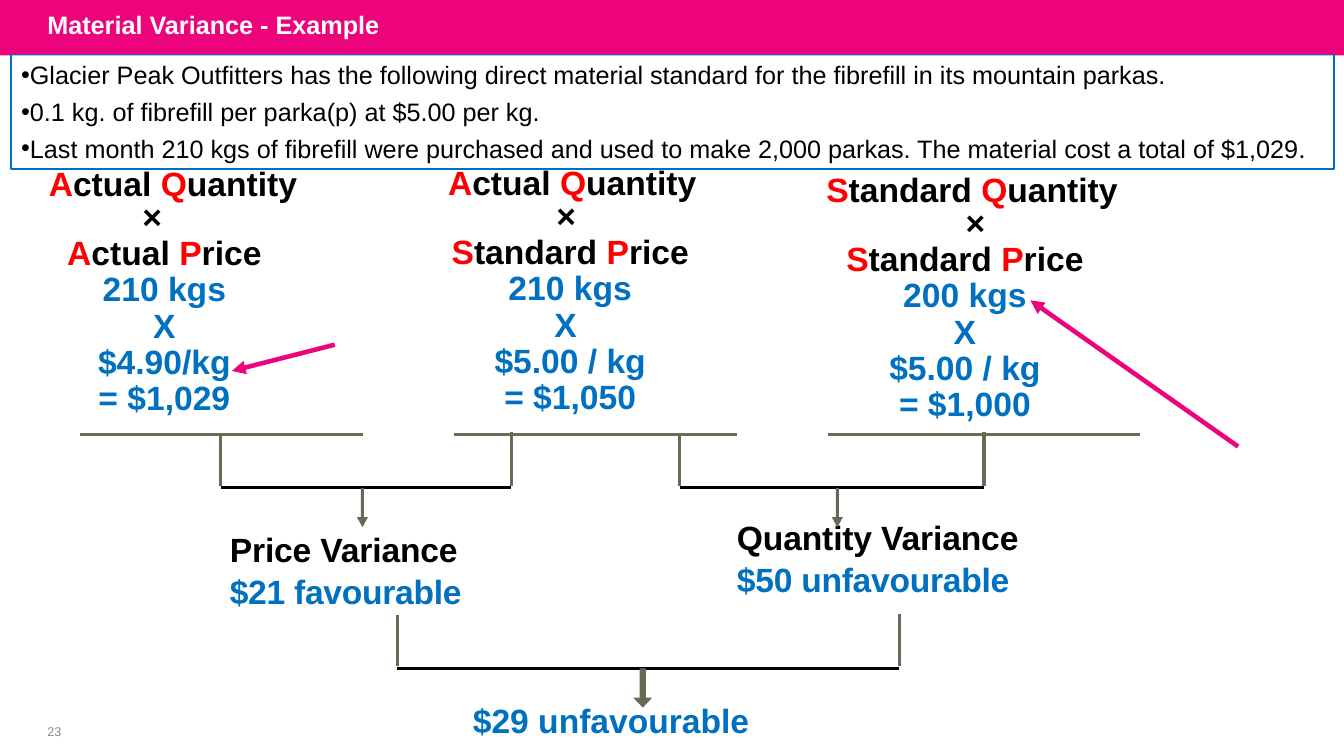
from pptx import Presentation
from pptx.dml.color import RGBColor
from pptx.enum.shapes import MSO_CONNECTOR, MSO_SHAPE
from pptx.enum.text import MSO_ANCHOR, MSO_AUTO_SIZE, PP_ALIGN
from pptx.oxml.ns import qn
from pptx.util import Pt
from lxml.etree import SubElement

PX = 9144  # 100 px to the inch
COLORS = {"pink": "ED037C", "blue": "0070C0", "red": "FF0000", "black": "000000",
          "white": "FFFFFF", "gray": "8C8C8C", "olive": "676A54"}
HEADING = {"name": "Arial", "size": Pt(24), "bold": True}
PLAIN = {"name": "Arial", "size": Pt(18), "bold": False}


def add_run(paragraph, text, color, font_format, spacing=0):
    run = paragraph.add_run()
    run.text = text
    for name, value in font_format.items():
        setattr(run.font, name, value)
    run.font.color.rgb = RGBColor.from_string(COLORS[color])
    if spacing:
        run._r.get_or_add_rPr().set("spc", str(spacing))


def add_line(x1, y1, x2, y2, color, width):
    line = slide.shapes.add_connector(
        MSO_CONNECTOR.STRAIGHT, x1 * PX, y1 * PX, x2 * PX, y2 * PX)
    line.line.color.rgb = RGBColor.from_string(COLORS[color])
    line.line.width = Pt(width)
    SubElement(line.element.spPr, qn("a:effectLst"))
    return line


presentation = Presentation()
presentation.slide_width, presentation.slide_height = 1333 * PX, 750 * PX
slide = presentation.slides.add_slide(presentation.slide_layouts[1])
title, body = slide.placeholders

# Banner, behind the title
banner = slide.shapes.add_shape(MSO_SHAPE.RECTANGLE, 0, 0, 1333 * PX, 55 * PX)
banner.shadow.inherit = False
banner.fill.solid()
banner.fill.fore_color.rgb = RGBColor.from_string(COLORS["pink"])
banner.line.fill.background()
title.element.addprevious(banner.element)

# Title and case facts
for shape, bounds, anchor in ((title, (37, -3, 1050, 55), MSO_ANCHOR.MIDDLE),
                              (body, (11, 54, 1312, 114), MSO_ANCHOR.TOP)):
    shape.left, shape.top, shape.width, shape.height = (length * PX for length in bounds)
    frame_format = {"auto_size": MSO_AUTO_SIZE.NONE, "word_wrap": True,
                    "vertical_anchor": anchor}
    for name, value in frame_format.items():
        setattr(shape.text_frame, name, value)
title_paragraph = title.text_frame.paragraphs[0]
title_paragraph.alignment = PP_ALIGN.LEFT
add_run(title_paragraph, "Material Variance - Example", "white", PLAIN | {"bold": True})

body.line.color.rgb = RGBColor.from_string(COLORS["blue"])
body.line.width = Pt(1.25)
facts = [
    "Glacier Peak Outfitters has the following direct material standard for the fibrefill in its mountain parkas.",
    "0.1 kg. of fibrefill per parka(p) at $5.00 per kg.",
    "Last month 210 kgs of fibrefill were purchased and used to make 2,000 parkas. The material cost a total of $1,029",
]
for index, fact in enumerate(facts):
    paragraph = body.text_frame.add_paragraph() if index else body.text_frame.paragraphs[0]
    paragraph.space_before = Pt(4.6 if index else 0)
    properties = paragraph._p.get_or_add_pPr()
    properties.set("marL", "0")
    properties.set("indent", "0")
    SubElement(properties, qn("a:buChar"), char="•")
    add_run(paragraph, fact, "black", PLAIN)
add_run(paragraph, ".", "black", PLAIN | {"name": "Calibri"})

# Text blocks: bounds, lines, right margin of each line (negative: left margin)
columns = [
    ((47, 165, 249, 252), "Actual Quantity", "Actual Price",
     ["210 kgs", "X", "$4.90/kg", "= $1,029"], [0, 41, 17, 17, 17, 17, 17]),
    ((443, 164, 249, 252), "Actual Quantity", "Standard Price",
     ["210 kgs", "X", "$5.00 / kg", "= $1,050"], [0, 12, 4, 4, 13, 4, 4]),
    ((818, 171, 292, 252), "Standard Quantity", "Standard Price",
     ["200 kgs", "X", "$5.00 / kg", "= $1,000"], [0, -7, 14, 14, 14, 14, 14]),
]
blocks = [(bounds, [quantity, "×", price, *figures], margins)
          for bounds, quantity, price, figures, margins in columns]
blocks += [
    ((228, 524, 284, 84), ["Price Variance", "$21 favourable"], None),
    ((731, 512, 284, 84), ["Quantity Variance", "$50 unfavourable"], None),
    ((469, 693, 357, 42), ["$29 unfavourable"], None),
    ((26, 717, 56, 24), ["23"], None),
]
for bounds, lines, margins in blocks:
    box = slide.shapes.add_textbox(*(length * PX for length in bounds))
    frame = box.text_frame
    frame_format = {"word_wrap": True, "margin_left": 0, "margin_right": 0,
                    "margin_top": 1 * PX, "margin_bottom": 0}
    for name, value in frame_format.items():
        setattr(frame, name, value)
    for index, text in enumerate(lines):
        paragraph = frame.add_paragraph() if index else frame.paragraphs[0]
        if margins:
            paragraph.alignment = PP_ALIGN.CENTER
            paragraph.line_spacing = Pt(23.1 if text == "×" else 25.9)
            margin = margins[index]
            paragraph._p.get_or_add_pPr().set(
                "marL" if margin < 0 else "marR", str(abs(margin) * PX))
        elif index:
            paragraph.space_before = Pt(1)
        if text == "23":
            paragraph.alignment = PP_ALIGN.CENTER
            add_run(paragraph, text, "gray", PLAIN | {"size": Pt(9)})
        elif margins and index in (0, 2):
            # Red initials spell AQ, AP, SQ and SP
            first, second = text.split()
            for part, color in ((first[0], "red"), (first[1:] + " ", "black"),
                                (second[0], "red"), (second[1:], "black")):
                add_run(paragraph, part, color, HEADING)
        else:
            color = "black" if text == "×" or "Variance" in text else "blue"
            tightening = 0 if margins or len(lines) == 1 else -20 if index else -10
            add_run(paragraph, text, color, HEADING, tightening)

# Rules with the legs that hang from them, and the lower pair of legs
bracket_outlines = [
    [(79, 431, 360, 431), (219, 431, 219, 482)],
    [(450, 431, 731, 431), (507, 482, 507, 429), (674, 431, 674, 482)],
    [(821, 431, 1131, 431), (976, 482, 976, 429)],
    [(394, 610, 394, 661), (892, 661, 892, 609)],
]
for strokes in bracket_outlines:
    builder = slide.shapes.build_freeform(*strokes[0][:2], scale=PX)
    for x1, y1, x2, y2 in strokes:
        if (x1, y1) != strokes[0][:2]:
            builder.move_to(x1, y1)
        builder.add_line_segments([(x2, y2)], close=False)
    outline = builder.convert_to_shape()
    outline.shadow.inherit = False
    outline.fill.background()
    outline.line.color.rgb = RGBColor.from_string(COLORS["olive"])
    outline.line.width = Pt(2.25)

# Bars that join the legs
for left, right, bar in ((219, 507, 484), (674, 976, 484), (394, 892, 663)):
    add_line(left, bar, right, bar, "black", 2.25)

# Down arrows: left, top, width, shaft width
for left, top, width, shaft in ((354, 484, 11, 3), (825, 484, 11, 3), (628, 663, 19, 6)):
    arrow = slide.shapes.add_shape(
        MSO_SHAPE.DOWN_ARROW, left * PX, top * PX, width * PX, 39 * PX)
    arrow.shadow.inherit = False
    arrow.adjustments[0] = shaft / width
    arrow.adjustments[1] = 10 / width
    arrow.fill.solid()
    arrow.fill.fore_color.rgb = RGBColor.from_string(COLORS["olive"])
    arrow.line.fill.background()

# Pointers to the actual price and the standard quantity
for points in ((332, 342, 230, 368), (1228, 443, 1022, 298)):
    pointer = add_line(*points, "pink", 3.25)
    SubElement(pointer.line._get_or_add_ln(), qn("a:tailEnd"), type="triangle")

presentation.save("out.pptx")
